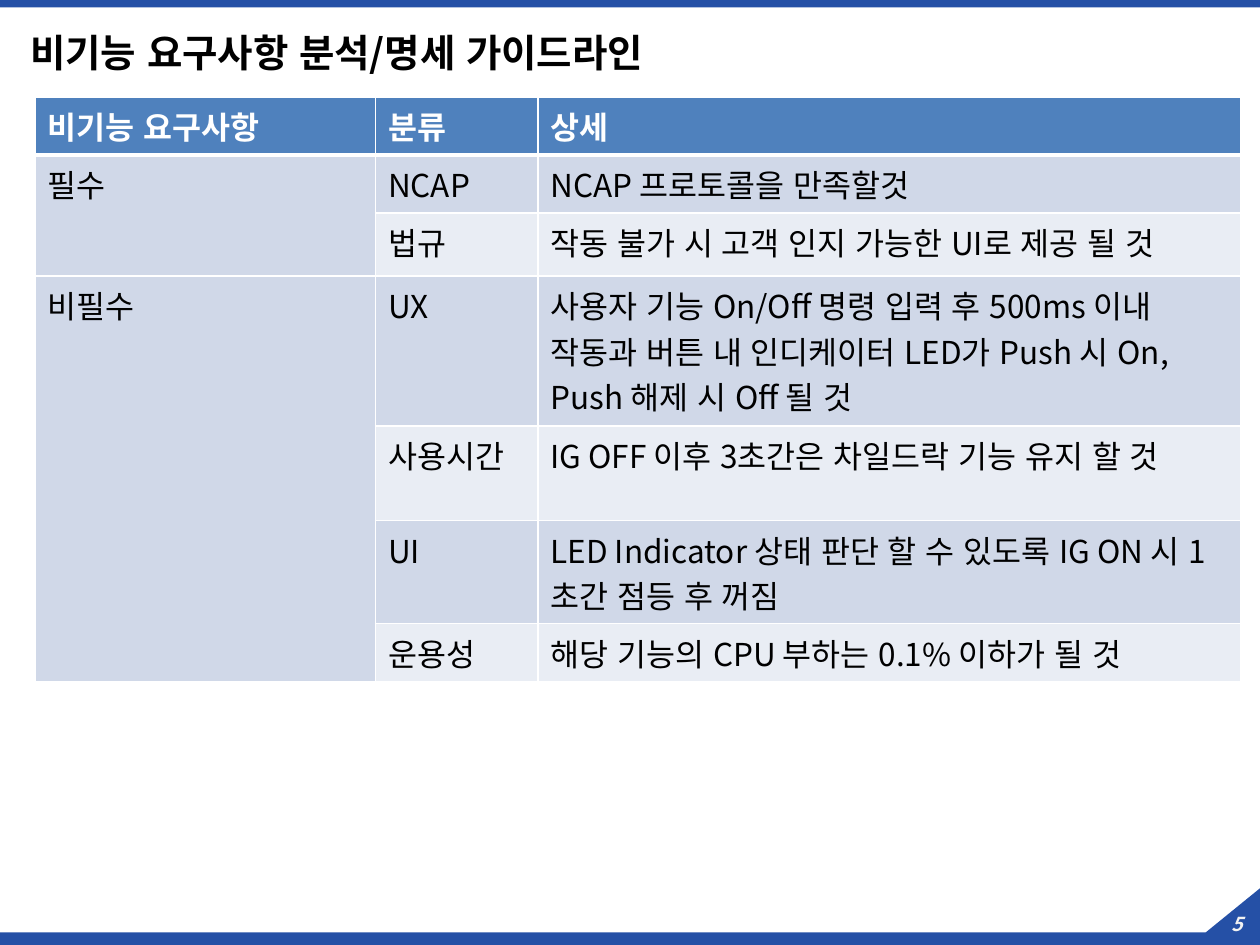
from lxml.etree import SubElement
from pptx import Presentation
from pptx.dml.color import RGBColor
from pptx.enum.lang import MSO_LANGUAGE_ID
from pptx.enum.shapes import MSO_SHAPE
from pptx.enum.text import MSO_ANCHOR, PP_ALIGN
from pptx.oxml import parse_xml
from pptx.oxml.ns import nsdecls, qn
from pptx.util import Inches, Pt

FONT = "Noto Sans CJK KR"
COLORS = {
    "bar": "2550A6", "header": "4F81BD", "odd": "D0D8E8", "even": "E9EDF4",
    "white": "FFFFFF", "black": "000000", "number": "F2F2F2",
}
COLUMNS = [2.7, 1.29, 5.58]
ROW_HEIGHTS = [0.46, 0.46, 0.5, 1.19, 0.75, 0.82, 0.46]
HEADINGS = ["비기능 요구사항", "분류", "상세"]
REQUIREMENTS = {
    "필수": [
        ("NCAP", "NCAP 프로토콜을 만족할것"),
        ("법규", "작동 불가 시 고객 인지 가능한 UI로 제공 될 것"),
    ],
    "비필수": [
        ("UX", "사용자 기능 On/Off 명령 입력 후 500ms 이내 작동과 버튼 내 인디케이터 "
               "LED가 Push 시 On, Push 해제 시 Off 될 것"),
        ("사용시간", "IG OFF 이후 3초간은 차일드락 기능 유지 할 것"),
        ("UI", "LED Indicator 상태 판단 할 수 있도록 IG ON 시 1초간 점등 후 꺼짐"),
        ("운용성", "해당 기능의 CPU 부하는 0.1% 이하가 될 것"),
    ],
}


def color(name):
    return RGBColor.from_string(COLORS[name])


def write(frame, text, size=18, ink="black", bold=False, italic=False,
          align=PP_ALIGN.LEFT, line_spacing=None):
    para = frame.paragraphs[0]
    para.alignment = align
    para.line_spacing = line_spacing
    span = para.add_run()
    span.text = text
    font = span.font
    font.name, font.size, font.bold, font.italic = FONT, Pt(size), bold, italic
    font.color.rgb = color(ink)
    font.language_id = MSO_LANGUAGE_ID.KOREAN
    font._element.set("kern", "0")
    SubElement(font._element, qn("a:ea"), typeface=FONT)


class SlideBuilder:
    def __init__(self, deck):
        self.page = deck.slides.add_slide(deck.slide_layouts[5])

    def paint(self, shape):
        shape.shadow.inherit = False
        shape.fill.solid()
        shape.fill.fore_color.rgb = color("bar")
        shape.line.fill.background()

    def bar(self, *place):
        self.paint(self.page.shapes.add_shape(
            MSO_SHAPE.RECTANGLE, *map(Inches, place)))

    def outline(self, points):
        corners = [(Inches(x), Inches(y)) for x, y in points]
        builder = self.page.shapes.build_freeform(*corners[0], scale=1.0)
        builder.add_line_segments(corners[1:], close=True)
        self.paint(builder.convert_to_shape())

    def title(self, text, left, top, width, height):
        box = self.page.shapes.title
        box.left, box.top = Inches(left), Inches(top)
        box.width, box.height = Inches(width), Inches(height)
        box.text_frame.vertical_anchor = MSO_ANCHOR.MIDDLE
        write(box.text_frame, text, size=22, bold=True, line_spacing=0.9)

    def page_number(self, text, *place):
        frame = self.page.shapes.add_textbox(*map(Inches, place)).text_frame
        frame.word_wrap = True
        frame.vertical_anchor = MSO_ANCHOR.MIDDLE
        frame.margin_left = frame.margin_right = 0
        frame.margin_top = frame.margin_bottom = 0
        write(frame, text, size=11, ink="number", bold=True, italic=True,
              align=PP_ALIGN.CENTER)

    def cell(self, cell, fill, bottom=1, top=1):
        cell.fill.solid()
        cell.fill.fore_color.rgb = color(fill)
        properties = cell._tc.get_or_add_tcPr()
        widths = {"L": 1, "R": 1, "T": top, "B": bottom}
        for index, (side, width) in enumerate(widths.items()):
            properties.insert(index, parse_xml(
                f'<a:ln{side} {nsdecls("a")} w="{Pt(width)}"><a:solidFill>'
                f'<a:srgbClr val="{COLORS["white"]}"/></a:solidFill></a:ln{side}>'))

    def table(self, left, top):
        table = self.page.shapes.add_table(
            len(ROW_HEIGHTS), len(COLUMNS), Inches(left), Inches(top),
            Inches(sum(COLUMNS)), Inches(sum(ROW_HEIGHTS))).table
        for column, width in zip(table.columns, COLUMNS):
            column.width = Inches(width)
        for row, height in zip(table.rows, ROW_HEIGHTS):
            row.height = Inches(height)

        # Header row
        for index, heading in enumerate(HEADINGS):
            cell = table.cell(0, index)
            self.cell(cell, "header", bottom=3)
            write(cell.text_frame, heading, ink="white", bold=True)

        # One merged group cell beside its banded rows
        row = 1
        for group, items in REQUIREMENTS.items():
            first = table.cell(row, 0)
            write(first.text_frame, group)
            first.merge(table.cell(row + len(items) - 1, 0))
            for item in items:
                edge = 3 if row == 1 else 1
                self.cell(table.cell(row, 0), "odd", top=edge)
                for index, text in enumerate(item, start=1):
                    cell = table.cell(row, index)
                    self.cell(cell, "odd" if row % 2 else "even", top=edge)
                    write(cell.text_frame, text)
                row += 1


def main():
    deck = Presentation()
    deck.slide_width, deck.slide_height = Inches(10), Inches(7.5)
    slide = SlideBuilder(deck)

    # Frame bars and page number
    slide.bar(0, 0, 10, 0.06)
    slide.outline([(10, 7.05), (10, 7.5), (0, 7.5), (0, 7.4), (9.57, 7.4)])
    slide.page_number("5", 9.61, 7.19, 0.42, 0.29)

    # Title and requirements
    slide.title("비기능 요구사항 분석/명세 가이드라인", 0.14, 0.21, 9.47, 0.46)
    slide.table(0.28, 0.77)
    deck.save("out.pptx")


if __name__ == "__main__":
    main()
